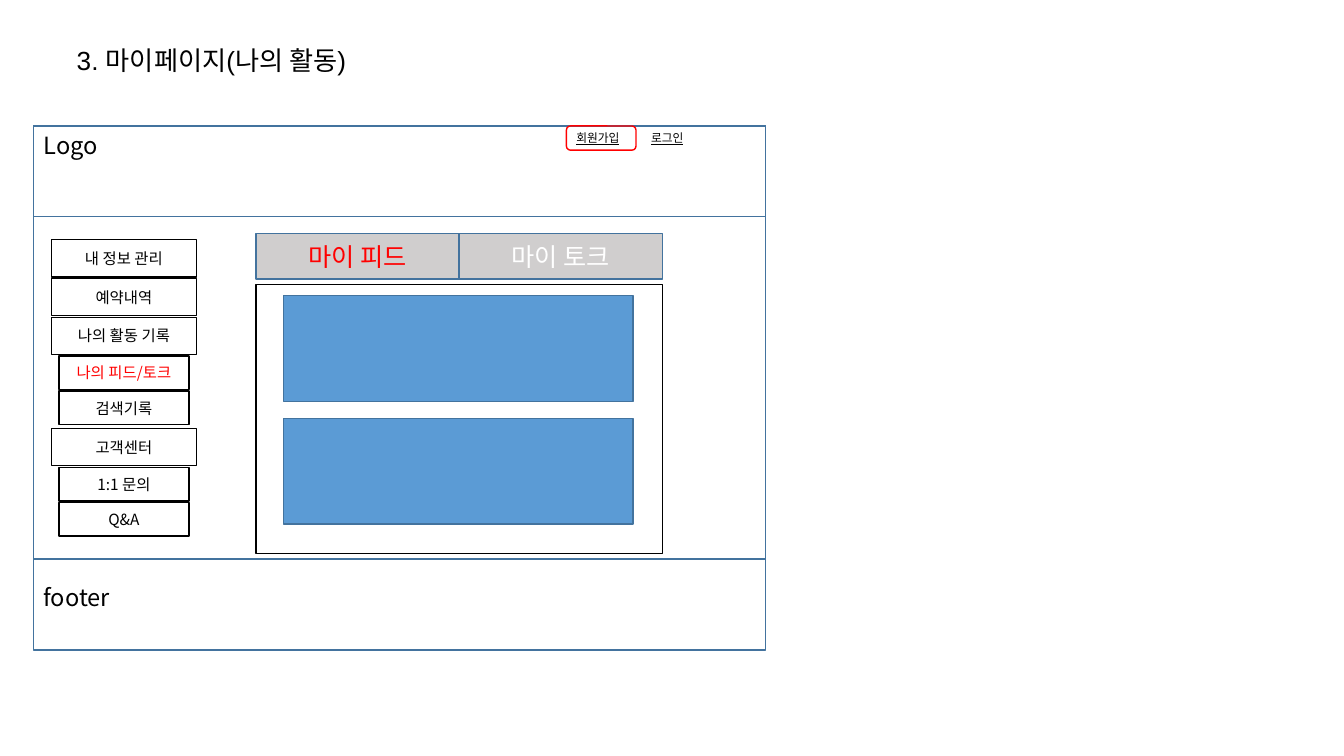
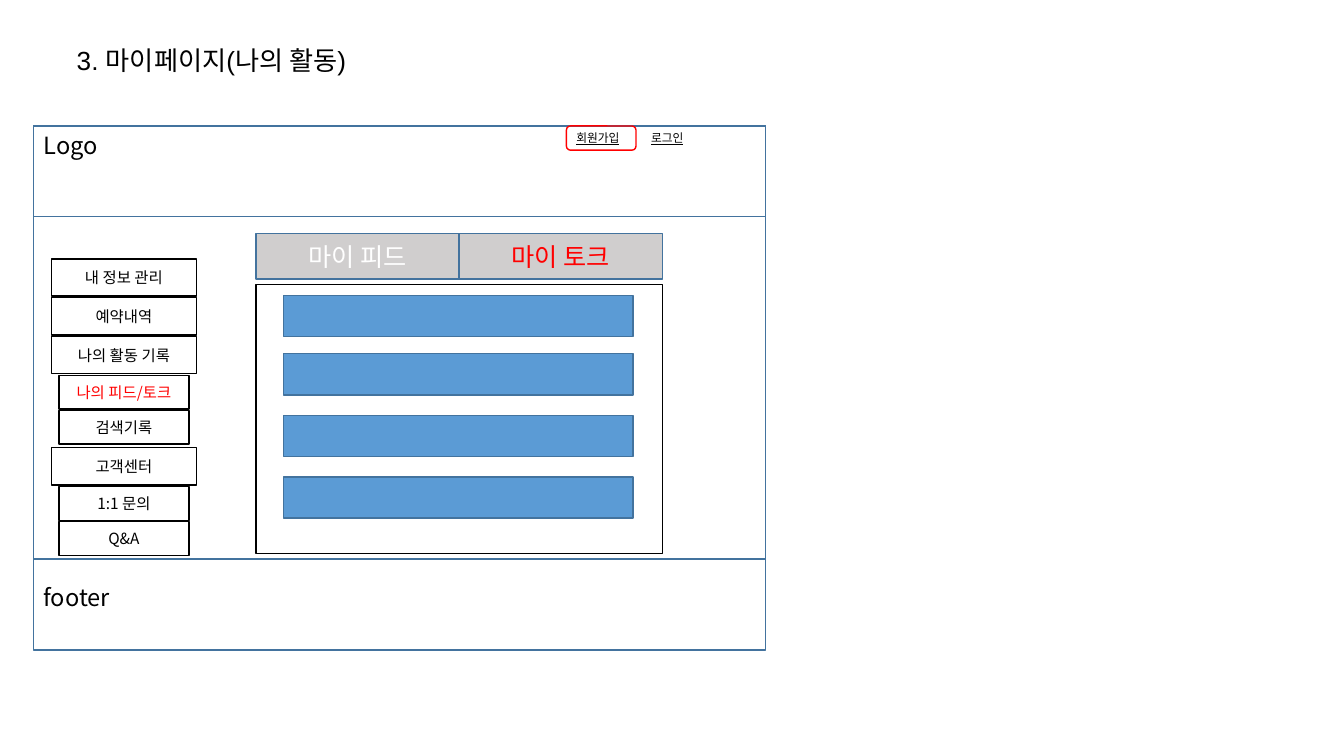
import dataclasses
import typing

import pptx
import pptx.dml.color
import pptx.enum.shapes
import pptx.enum.text
import pptx.oxml
import pptx.oxml.ns
import pptx.util

Pt = pptx.util.Pt
Kind = pptx.enum.shapes.MSO_SHAPE
Align = pptx.enum.text.PP_ALIGN
Anchor = pptx.enum.text.MSO_ANCHOR
Fit = pptx.enum.text.MSO_AUTO_SIZE

BLACK, WHITE, RED = "000000", "FFFFFF", "FF0000"
EDGE, BLUE, GREY = "43739E", "5B9BD5", "D0CECE"
FONT = "Noto Sans CJK KR"
TITLE = "3. 마이페이지(나의 활동)"


class Box(typing.NamedTuple):
    left: float
    top: float
    width: float
    height: float


@dataclasses.dataclass(frozen=True)
class Label:
    text: str
    box: Box
    size: float
    line: bool = False
    wrap: bool = False


@dataclasses.dataclass(frozen=True)
class Item:
    text: str
    sub: bool = False
    color: str = BLACK
    extra: float = 0


@dataclasses.dataclass(frozen=True)
class Page:
    tab: str
    menu: float
    height: float
    tops: tuple[float, ...]


FRAME = Box(24, 90, 522.7, 374.4)
BAND = 64.8
BANDS = (
    FRAME,
    FRAME._replace(height=BAND),
    FRAME._replace(top=399.2, height=BAND),
)
LABELS = (
    Label("Logo", Box(24, 90, 65.5, 27.4), 16.9),
    Label("로그인", Box(458, 90, 39.6, 17.3), 8.4, line=True),
    Label("회원가입", Box(404.6, 90, 48.2, 17.3), 8.4, line=True),
    Label("footer", Box(24, 412.6, 522.7, 27.4), 16.9, wrap=True),
)
JOIN = Box(404.6, 90, 49.7, 17.3)
TABS = ("마이 피드", "마이 토크")
TAB = Box(182.9, 167, 145.1, 32.4)
PANEL = Box(182.9, 203.2, 290.2, 192.2)
CARD = Box(202.4, 211, 249.8, 75.6)
MAIN = Box(36.7, 171.2, 103.7, 26.6)
SUB = Box(42.1, 171.2, 92.9, 24)
GAP = 1.1
MENU = (
    Item("내 정보 관리"),
    Item("예약내역"),
    Item("나의 활동 기록"),
    Item("나의 피드/토크", sub=True, color=RED),
    Item("검색기록", sub=True),
    Item("고객센터", extra=1.6),
    Item("1:1 문의", sub=True),
    Item("Q&A", sub=True),
)
PAGES = (
    Page("마이 피드", 171.2, 75.6, (211, 298.8)),
    Page("마이 토크", 185, 29.5, (211, 252.7, 296.6, 340.6)),
)


def paint(code: str) -> pptx.dml.color.RGBColor:
    return pptx.dml.color.RGBColor.from_string(code)


def place(box: Box) -> list[pptx.util.Length]:
    return [Pt(side) for side in box]


def style(frame, size: float, color: str, face: str = FONT, line: bool = False) -> None:
    for run in frame.paragraphs[0].runs:
        font = run.font
        font.size = Pt(size)
        font.name = face
        font.color.rgb = paint(color)
        if line:
            font.underline = True
        east = pptx.oxml.parse_xml(
            f'<a:ea {pptx.oxml.ns.nsdecls("a")} typeface="{FONT}"/>'
        )
        run.font._element.find(pptx.oxml.ns.qn("a:latin")).addnext(east)


def block(
    slide, box: Box, fill: str | None = None, edge: str = EDGE, kind=Kind.RECTANGLE
):
    shape = slide.shapes.add_shape(kind, *place(box))
    shape.shadow.inherit = False
    if fill:
        shape.fill.solid()
        shape.fill.fore_color.rgb = paint(fill)
    else:
        shape.fill.background()
    shape.line.color.rgb = paint(edge)
    shape.line.width = Pt(1)
    return shape


def button(
    slide, box: Box, text: str, size: float, color: str, fill: str, edge: str
) -> None:
    frame = block(slide, box, fill, edge).text_frame
    frame.text = text
    frame.vertical_anchor = Anchor.MIDDLE
    frame.paragraphs[0].alignment = Align.CENTER
    style(frame, size, color)


def label(slide, item: Label) -> None:
    frame = slide.shapes.add_textbox(*place(item.box)).text_frame
    frame.text = item.text
    frame.word_wrap = item.wrap
    frame.auto_size = Fit.SHAPE_TO_FIT_TEXT
    style(frame, item.size, BLACK, line=item.line)


def head(slide) -> None:
    title = slide.shapes.title
    title.left, title.top, title.width, title.height = place(Box(48, 31.7, 828, 25.2))
    frame = title.text_frame
    frame.text = TITLE
    frame.auto_size = Fit.NONE
    frame.vertical_anchor = Anchor.MIDDLE
    frame.margin_left = frame.margin_right = Pt(6.8)
    frame.margin_top = frame.margin_bottom = Pt(3.4)
    frame.paragraphs[0].alignment = Align.LEFT
    frame.paragraphs[0].line_spacing = 0.9
    style(frame, 18.7, BLACK, "Arial")


def menu(slide, top: float) -> None:
    for item in MENU:
        top += item.extra
        box = (SUB if item.sub else MAIN)._replace(top=top)
        button(slide, box, item.text, 11, item.color, WHITE, BLACK)
        top += box.height + GAP


def build(slide, page: Page) -> None:
    head(slide)
    for box in BANDS:
        block(slide, box)
    for item in LABELS:
        label(slide, item)
    block(slide, JOIN, edge=RED, kind=Kind.ROUNDED_RECTANGLE)
    for col, text in enumerate(TABS):
        box = TAB._replace(left=TAB.left + col * TAB.width)
        color = RED if text == page.tab else WHITE
        button(slide, box, text, 18, color, GREY, EDGE)
    block(slide, PANEL, WHITE, BLACK)
    for top in page.tops:
        block(slide, CARD._replace(top=top, height=page.height), BLUE)
    menu(slide, page.menu)


def main() -> None:
    deck = pptx.Presentation()
    deck.slide_width, deck.slide_height = Pt(960), Pt(540)
    for page in PAGES:
        build(deck.slides.add_slide(deck.slide_layouts[5]), page)
    deck.save("out.pptx")


if __name__ == "__main__":
    main()
